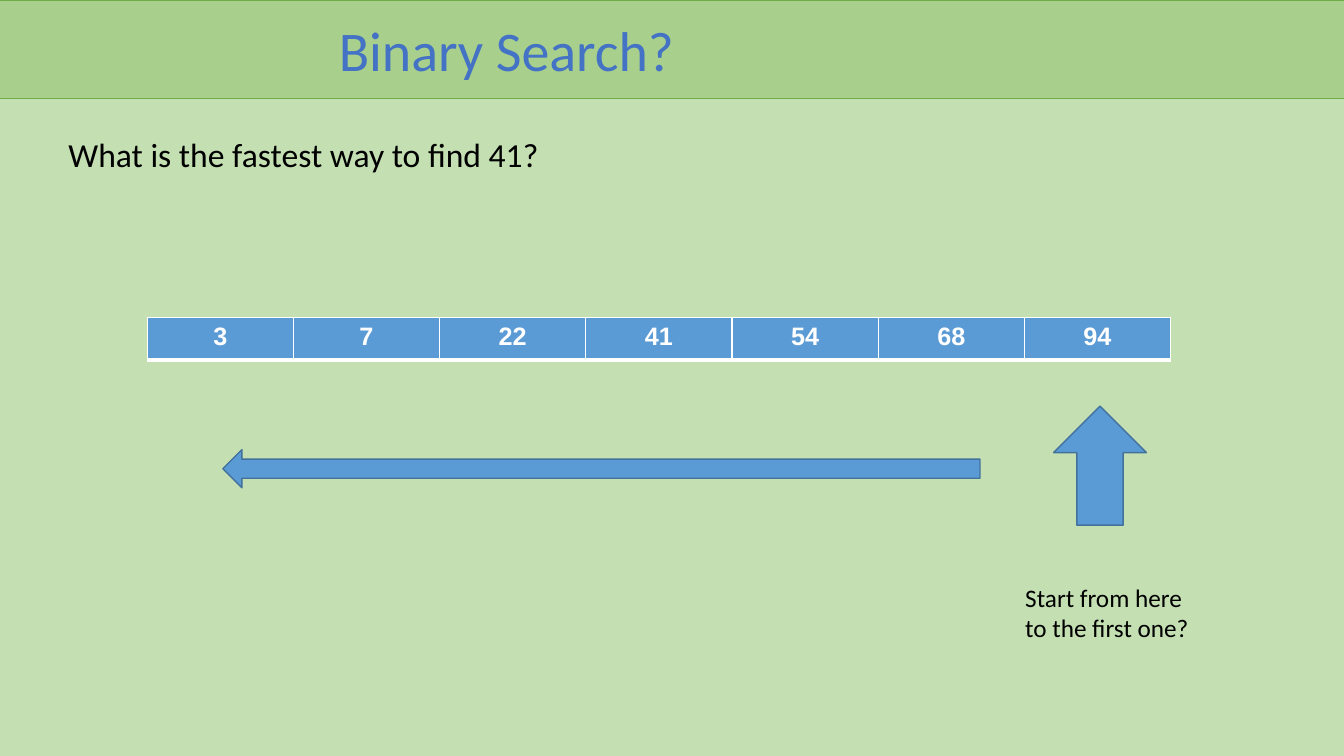
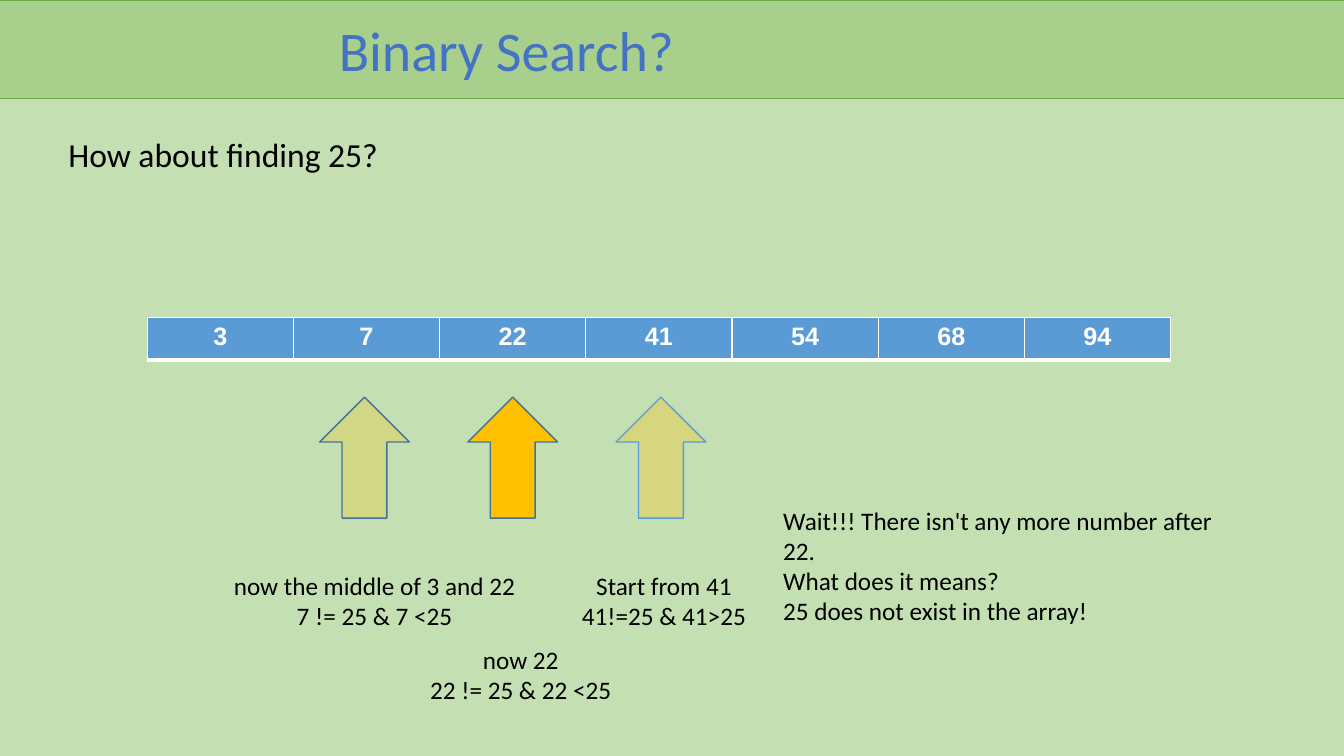
from lxml.etree import SubElement
from pptx import Presentation
from pptx.dml.color import RGBColor
from pptx.enum.shapes import MSO_SHAPE
from pptx.enum.text import MSO_ANCHOR, MSO_AUTO_SIZE, PP_ALIGN
from pptx.oxml.ns import qn
from pptx.util import Inches, Pt

PALE = RGBColor(0xC4, 0xE0, 0xB2)
GREEN = RGBColor(0xA8, 0xD0, 0x8C)
EDGE = RGBColor(0x70, 0xAD, 0x47)
TITLE = RGBColor(0x44, 0x72, 0xC4)
BLUE = RGBColor(0x5B, 0x9B, 0xD5)
NAVY = RGBColor(0x42, 0x71, 0x9B)
GOLD = RGBColor(0xFF, 0xC0, 0x00)
WHITE = RGBColor(0xFF, 0xFF, 0xFF)
BLACK = RGBColor(0x00, 0x00, 0x00)

NUMBERS = [3, 7, 22, 41, 54, 68, 94]
CELL = 1.45
BORDERS = [("a:lnL", 1), ("a:lnR", 1), ("a:lnT", 1), ("a:lnB", 3)]


def add_form(slide, kind, box, fill, line=None, width=1, alpha=None):
    form = slide.shapes.add_shape(kind, *[Inches(v) for v in box])
    form.shadow.inherit = False
    form.fill.solid()
    form.fill.fore_color.rgb = fill
    if alpha:
        color = form.fill._xPr.find(qn("a:solidFill")).find(qn("a:srgbClr"))
        SubElement(color, qn("a:alpha"), val=str(alpha * 1000))
    if line:
        form.line.color.rgb = line
        form.line.width = Pt(width)
    else:
        form.line.fill.background()
    return form


def add_text(slide, box, lines, size=18, align=PP_ALIGN.LEFT):
    frame = slide.shapes.add_textbox(*[Inches(v) for v in box]).text_frame
    frame.word_wrap = True
    for i, line in enumerate(lines):
        para = frame.add_paragraph() if i else frame.paragraphs[0]
        para.alignment = align
        run = para.add_run()
        run.text = line
        run.font.name = "Calibri"
        run.font.size = Pt(size)
        run.font.color.rgb = BLACK


prs = Presentation()
prs.slide_width = Inches(13.33)
prs.slide_height = Inches(7.5)
layout = prs.slide_layouts[5]
first, second = slides = [prs.slides.add_slide(layout) for _ in range(2)]

panel = add_form(first, MSO_SHAPE.RECTANGLE, (0, 0.01, 13.33, 7.49), PALE)
band = add_form(first, MSO_SHAPE.RECTANGLE, (0, 0, 13.34, 0.98), GREEN, EDGE, 0.75)
for spot, form in enumerate([panel, band], 2):
    layout.shapes._spTree.insert(spot, form._element)

prompts = ["What is the fastest way to find 41?", "How about finding 25?"]
for slide, prompt in zip(slides, prompts):
    title = slide.shapes.title
    title.left, title.top = Inches(3.26), Inches(0.1)
    title.width, title.height = Inches(9.93), Inches(0.77)
    frame = title.text_frame
    frame.auto_size = MSO_AUTO_SIZE.NONE
    frame.vertical_anchor = MSO_ANCHOR.MIDDLE
    para = frame.paragraphs[0]
    para.alignment = PP_ALIGN.LEFT
    run = para.add_run()
    run.text = "Binary Search?"
    run.font.name = "Calibri"
    run.font.size = Pt(40)
    run.font.color.rgb = TITLE

    add_text(slide, (0.58, 1.28, 6.89, 0.5), [prompt], 24)

    table = slide.shapes.add_table(
        1, len(NUMBERS), Inches(1.46), Inches(3.15),
        Inches(CELL * len(NUMBERS)), Inches(0.42)).table
    table.horz_banding = False
    for col, number in enumerate(NUMBERS):
        table.columns[col].width = Inches(CELL)
        cell = table.cell(0, col)
        props = cell._tc.get_or_add_tcPr()
        for tag, width in BORDERS:
            line = SubElement(props, qn(tag), w=str(Pt(width)))
            solid = SubElement(line, qn("a:solidFill"))
            SubElement(solid, qn("a:srgbClr"), val=str(WHITE))
        cell.fill.solid()
        cell.fill.fore_color.rgb = BLUE
        para = cell.text_frame.paragraphs[0]
        para.alignment = PP_ALIGN.CENTER
        run = para.add_run()
        run.text = str(number)
        run.font.name = "Arial"
        run.font.size = Pt(18)
        run.font.bold = True
        run.font.color.rgb = WHITE

add_form(first, MSO_SHAPE.UP_ARROW, (10.45, 4.03, 0.92, 1.18), BLUE, NAVY)
add_text(first, (10.07, 5.73, 2.01, 0.7), ["Start from here to the first one?"])
add_form(first, MSO_SHAPE.LEFT_ARROW, (2.21, 4.46, 7.51, 0.38), BLUE, NAVY)

steps = [
    (6.11, BLUE, 29, (5.44, 5.61, 2.29, 0.7), ["Start from 41", "41!=25 & 41>25"]),
    (3.17, NAVY, 25, (2.16, 5.61, 3.11, 0.7),
     ["now the middle of 3 and 22", "7 != 25 & 7 <25"]),
    (4.64, NAVY, None, (3.61, 6.34, 3.11, 0.7), ["now 22", "22 != 25 & 22 <25"]),
]
for left, line, alpha, box, lines in steps:
    add_form(second, MSO_SHAPE.UP_ARROW, (left, 3.94, 0.89, 1.2), GOLD, line, alpha=alpha)
    add_text(second, box, lines, align=PP_ALIGN.CENTER)

add_text(second, (7.67, 4.96, 4.76, 1.3), [
    "Wait!!! There isn't any more number after 22.",
    "What does it means?",
    "25 does not exist in the array!",
])

prs.save("out.pptx")
